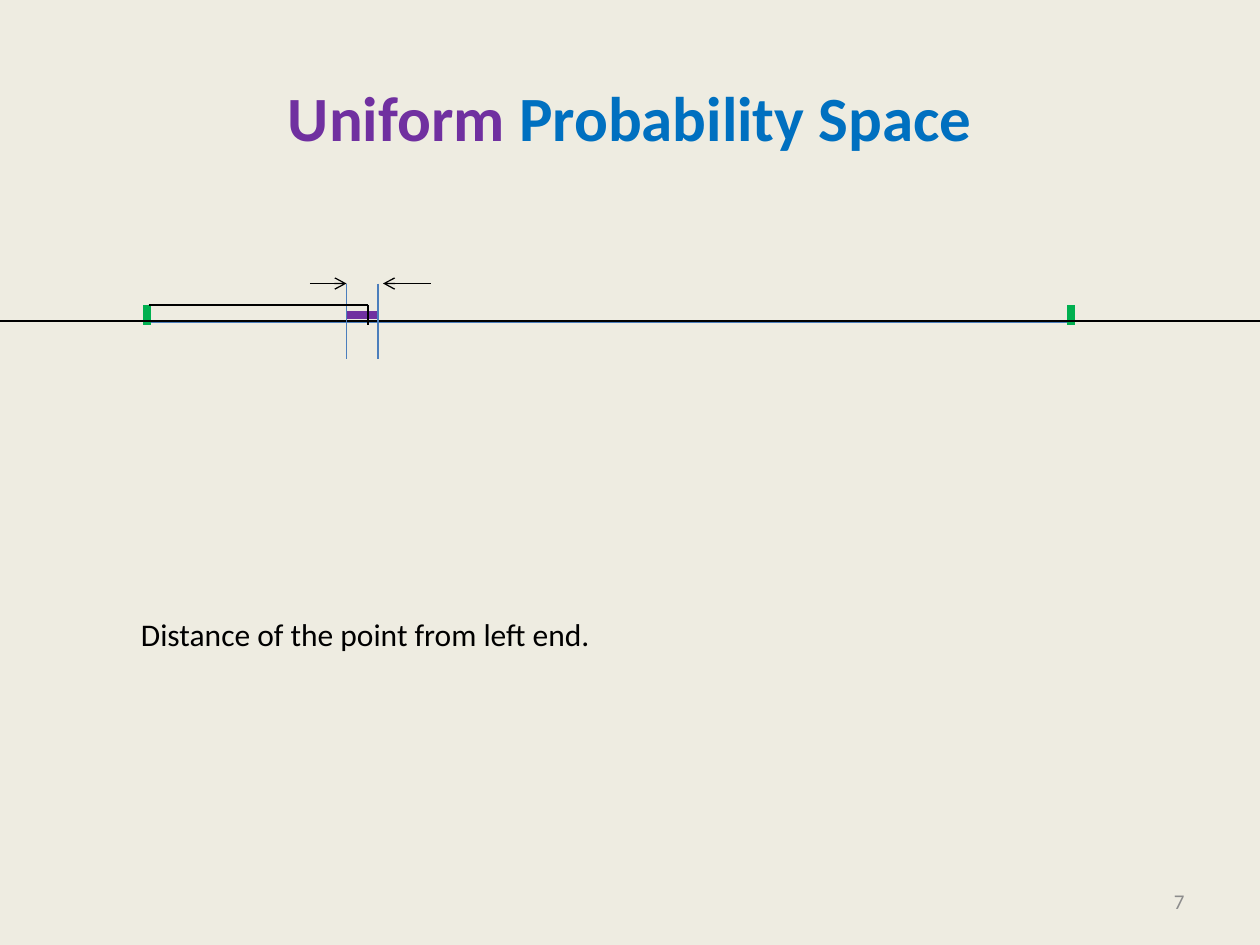
import pptx
import pptx.dml.color
import pptx.enum.shapes
import pptx.enum.text
import pptx.oxml.ns
import pptx.util
from lxml import etree

Inches = pptx.util.Inches
ALIGN = pptx.enum.text.PP_ALIGN
ANCHOR = pptx.enum.text.MSO_ANCHOR
BLACK, GREEN, PURPLE, BLUE = "000000", "00B050", "7030A0", "4B7EBC"


def set_color(color_format, value):
    color_format.rgb = pptx.dml.color.RGBColor.from_string(value)


def add_text(s, box, runs, size, align=ALIGN.LEFT, anchor=ANCHOR.TOP,
             bold=False, wrap=True):
    """Add a one-paragraph text box; runs are (text, colour) pairs."""
    tf = s.shapes.add_textbox(*map(Inches, box)).text_frame
    tf.word_wrap = wrap
    tf.vertical_anchor = anchor
    if not wrap:
        tf.auto_size = pptx.enum.text.MSO_AUTO_SIZE.SHAPE_TO_FIT_TEXT
    p = tf.paragraphs[0]
    p.alignment = align
    for text, color in runs:
        r = p.add_run()
        r.text = text
        r.font.name = "Calibri"
        r.font.size = pptx.util.Pt(size)
        r.font.bold = bold
        set_color(r.font.color, color)


def add_line(shapes, start, end, color, width=0.75, arrow=False):
    line = shapes.add_connector(pptx.enum.shapes.MSO_CONNECTOR.STRAIGHT,
                                *map(Inches, start + end))
    set_color(line.line.color, color)
    line.line.width = pptx.util.Pt(width)
    if arrow:
        etree.SubElement(line.line._get_or_add_ln(),
                         pptx.oxml.ns.qn("a:tailEnd"), type="arrow")
    etree.SubElement(line._element.spPr, pptx.oxml.ns.qn("a:effectLst"))


def add_segment(s, left, right, axis_y, tick_top, tick_bottom):
    """Group the interval with its two end marks."""
    shapes = s.shapes.add_group_shape().shapes
    add_line(shapes, (left, axis_y), (right, axis_y), BLUE, 1.5)
    for x in (left, right):
        add_line(shapes, (x, tick_top), (x, tick_bottom), GREEN, 4.5)


def add_number_line(s):
    axis_y, tick_top, tick_bottom = 2.55, 2.42, 2.58
    left, right, point = 1.17, 8.5, 2.92
    range_left, range_right = 2.75, 3
    arrow_y, guide_bottom = 2.25, 2.85

    add_segment(s, left, right, axis_y, tick_top, tick_bottom)
    add_line(s.shapes, (0, axis_y), (10, axis_y), BLACK, 1)
    add_line(s.shapes, (range_left, 2.5), (range_right, 2.5), PURPLE, 4.5)
    for start, end in ((2.46, range_left), (3.42, 3.04)):
        add_line(s.shapes, (start, arrow_y), (end, arrow_y), BLACK, arrow=True)
    for x in (range_left, range_right):
        add_line(s.shapes, (x, arrow_y), (x, guide_bottom), BLUE)
    add_line(s.shapes, (point, tick_top), (point, tick_bottom), BLACK)
    add_line(s.shapes, (1.18, tick_top), (point, tick_top), BLACK)


def main():
    prs = pptx.Presentation()
    prs.slide_width, prs.slide_height = Inches(10), Inches(7.5)
    s = prs.slides.add_slide(prs.slide_layouts[6])
    s.background.fill.solid()
    set_color(s.background.fill.fore_color, "EEECE1")

    add_text(s, (0.5, 0.3, 9, 1.25),
             [("Uniform ", PURPLE), ("Probability Space", "0070C0")],
             36, ALIGN.CENTER, ANCHOR.MIDDLE, bold=True)
    add_text(s, (7.17, 6.95, 2.33, 0.4), [("7", "8C8C8C")],
             12, ALIGN.RIGHT, ANCHOR.MIDDLE)
    add_number_line(s)
    add_text(s, (1.02, 4.83, 3.81, 0.4),
             [("Distance of the point from left end.", BLACK)], 18, wrap=False)
    prs.save("out.pptx")


if __name__ == "__main__":
    main()
